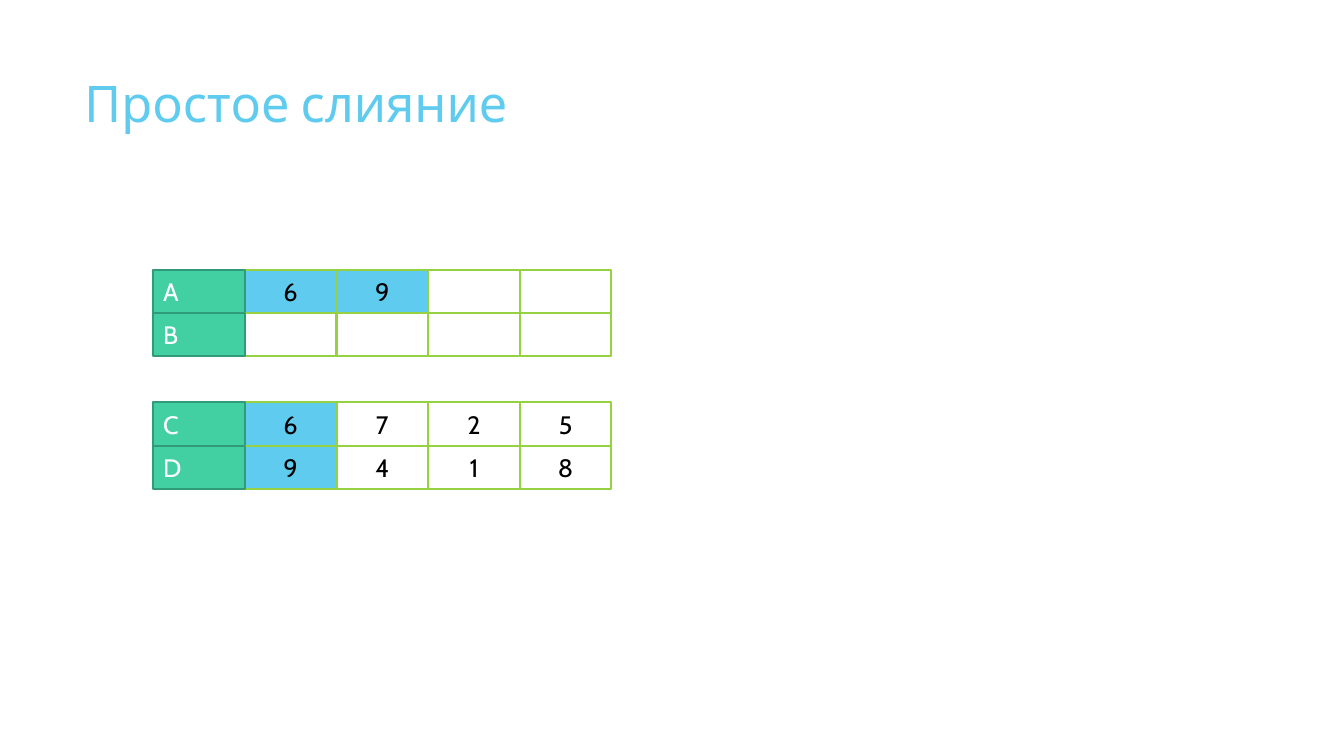
from pptx import Presentation
from pptx import util as u
from pptx.dml.color import RGBColor
from pptx.enum import shapes, text

SKY, LIME, MINT, PINE = "5FCBEF", "96D141", "42D0A2", "319A78"
WHITE, BLACK = "FFFFFF", "000000"


def rgb(value):
    return RGBColor.from_string(value)


def write(tf, content, size=18, color=BLACK, font="Cabin",
          align=text.PP_ALIGN.LEFT, anchor=text.MSO_ANCHOR.MIDDLE):
    tf.word_wrap = True
    tf.vertical_anchor = anchor
    p = tf.paragraphs[0]
    p.alignment = align
    r = p.add_run()
    r.text = content
    r.font.size = u.Pt(size)
    r.font.name = font
    r.font.color.rgb = rgb(color)


class Deck:
    cell_w, cell_h, line_w = 2.31, 1.09, 1.5

    def __init__(self):
        self.prs = Presentation()
        self.prs.slide_width = u.Cm(33.87)
        self.prs.slide_height = u.Cm(19.05)
        self.s = self.prs.slides.add_slide(self.prs.slide_layouts[6])

    def title(self, content, x, y, w, h):
        sp = self.s.shapes.add_textbox(u.Cm(x), u.Cm(y), u.Cm(w), u.Cm(h))
        write(sp.text_frame, content, size=36, color=SKY,
              anchor=text.MSO_ANCHOR.TOP)

    def cell(self, x, y, fill, line, content="", **fmt):
        sp = self.s.shapes.add_shape(
            shapes.MSO_SHAPE.RECTANGLE, u.Cm(x), u.Cm(y),
            u.Cm(self.cell_w), u.Cm(self.cell_h))
        sp.shadow.inherit = False
        sp.fill.solid()
        sp.fill.fore_color.rgb = rgb(fill)
        sp.line.color.rgb = rgb(line)
        sp.line.width = u.Pt(self.line_w)
        if content:
            write(sp.text_frame, content, **fmt)

    def tape(self, x, y, label, values, marked):
        """One labelled row; the first `marked` values are highlighted."""
        for i, value in enumerate(values, 1):
            self.cell(x + i * self.cell_w, y, SKY if i <= marked else WHITE,
                      LIME, value, align=text.PP_ALIGN.CENTER)
        self.cell(x, y, MINT, PINE, label, color=WHITE)

    def tapes(self, x, y, rows):
        for i, row in enumerate(rows):
            self.tape(x, y + i * self.cell_h, *row)


deck = Deck()
deck.title("Простое слияние", 1.88, 1.7, 23.88, 3.66)

# Upper pair of tapes: merged output
deck.tapes(3.86, 6.8, [("A", ["6", "9", "", ""], 2),
                       ("B", ["", "", "", ""], 0)])

# Lower pair of tapes: input
deck.tapes(3.86, 10.14, [("C", ["6", "7", "2", "5"], 1),
                         ("D", ["9", "4", "1", "8"], 1)])

deck.prs.save("out.pptx")
